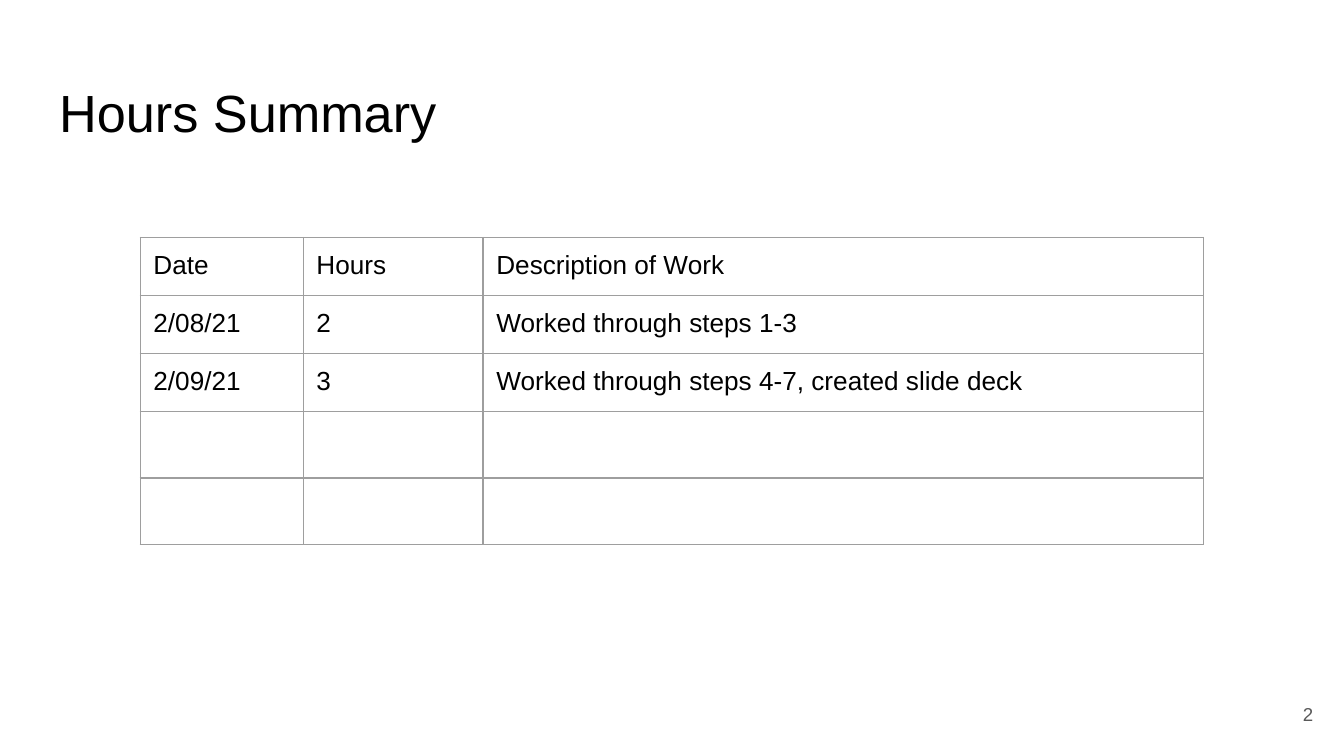
from dataclasses import dataclass

import lxml.etree
import pptx
import pptx.dml.color
import pptx.enum.text
import pptx.oxml.ns
import pptx.util
from pptx.util import Cm

COLORS = {"text": "000000", "number": "595959", "border": "9E9E9E", "background": "FFFFFF"}
FONT = "Arial"
INSET = Cm(0.25)
ALIGN = pptx.enum.text.PP_ALIGN
ANCHOR = pptx.enum.text.MSO_ANCHOR


@dataclass
class Label:
    text: str
    left: float
    top: float
    width: float
    height: float
    size: int
    color: str
    align: ALIGN = ALIGN.LEFT
    anchor: ANCHOR = ANCHOR.TOP


LABELS = [
    Label("Hours Summary", 0.87, 1.27, 23.67, 1.6, 28, "text"),
    Label("2", 23.55, 12.95, 1.52, 1.09, 10, "number", ALIGN.RIGHT, ANCHOR.MIDDLE),
]

# Hours log: one tuple per row, the last two still to be filled in
HOURS_LOG = [
    ("Date", "Hours", "Description of Work"),
    ("2/08/21", "2", "Worked through steps 1-3"),
    ("2/09/21", "3", "Worked through steps 4-7, created slide deck"),
    ("", "", ""),
    ("", "", ""),
]
COLUMN_WIDTHS = [3.08, 3.4, 13.62]
ROW_HEIGHT = 1.06
EMPTY_ROW_HEIGHT = 1.22


def rgb(name: str) -> pptx.dml.color.RGBColor:
    return pptx.dml.color.RGBColor.from_string(COLORS[name])


def write(paragraph, text: str, size: int, color: str) -> None:
    run = paragraph.add_run()
    run.text = text
    run.font.name = FONT
    run.font.size = pptx.util.Pt(size)
    run.font.color.rgb = rgb(color)


def set_insets(holder) -> None:
    holder.margin_left = holder.margin_right = INSET
    holder.margin_top = holder.margin_bottom = INSET


def add_label(slide, label: Label) -> None:
    box = slide.shapes.add_textbox(
        Cm(label.left), Cm(label.top), Cm(label.width), Cm(label.height)
    )
    frame = box.text_frame
    frame.word_wrap = True
    frame.vertical_anchor = label.anchor
    set_insets(frame)
    frame.paragraphs[0].alignment = label.align
    write(frame.paragraphs[0], label.text, label.size, label.color)


def add_borders(cell) -> None:
    """Draw all four sides; borders must precede the fill in the cell properties."""
    properties = cell._tc.get_or_add_tcPr()
    qn = pptx.oxml.ns.qn
    for position, side in enumerate(("a:lnL", "a:lnR", "a:lnT", "a:lnB")):
        line = lxml.etree.Element(qn(side), w=str(pptx.util.Pt(0.75)))
        fill = lxml.etree.SubElement(line, qn("a:solidFill"))
        lxml.etree.SubElement(fill, qn("a:srgbClr"), val=COLORS["border"])
        properties.insert(position, line)


def add_hours_table(slide) -> None:
    heights = [ROW_HEIGHT if any(entry) else EMPTY_ROW_HEIGHT for entry in HOURS_LOG]
    hours = slide.shapes.add_table(
        len(HOURS_LOG), len(COLUMN_WIDTHS),
        Cm(2.65), Cm(4.49), Cm(sum(COLUMN_WIDTHS)), Cm(sum(heights)),
    ).table
    hours.first_row = hours.horz_banding = False
    for column, width in zip(hours.columns, COLUMN_WIDTHS):
        column.width = Cm(width)
    for row, height, entry in zip(hours.rows, heights, HOURS_LOG):
        row.height = Cm(height)
        for cell, text in zip(row.cells, entry):
            set_insets(cell)
            cell.fill.background()
            add_borders(cell)
            if text:
                write(cell.text_frame.paragraphs[0], text, 14, "text")


def main() -> None:
    deck = pptx.Presentation()
    deck.slide_width, deck.slide_height = Cm(25.4), Cm(14.29)
    slide = deck.slides.add_slide(deck.slide_layouts[6])
    slide.background.fill.solid()
    slide.background.fill.fore_color.rgb = rgb("background")

    # Title and page number
    for label in LABELS:
        add_label(slide, label)

    # Hours log
    add_hours_table(slide)

    deck.save("out.pptx")


if __name__ == "__main__":
    main()
